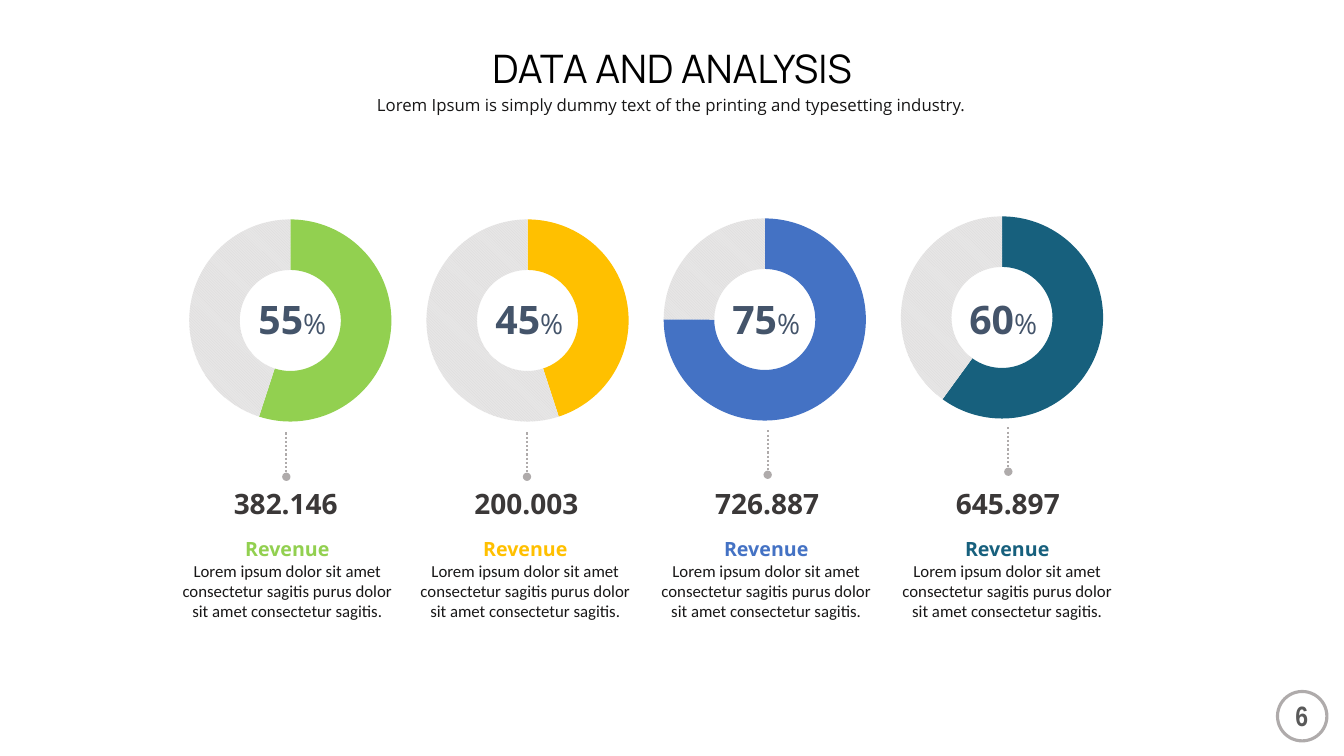
from dataclasses import dataclass

import lxml.etree
import pptx
import pptx.chart.data
import pptx.dml.color
import pptx.enum.chart
import pptx.enum.dml
import pptx.enum.shapes
import pptx.enum.text
import pptx.oxml
import pptx.oxml.ns
import pptx.util

Inches = pptx.util.Inches
Pt = pptx.util.Pt
MIDDLE = pptx.enum.text.MSO_ANCHOR.MIDDLE
TOP = pptx.enum.text.MSO_ANCHOR.TOP
CENTER = pptx.enum.text.PP_ALIGN.CENTER
GRAY = "AFABAB"
SLATE = "44546A"
BODY = "181717"
DESCRIPTION = "Lorem ipsum dolor sit amet consectetur sagitis purus dolor sit amet consectetur sagitis."


@dataclass
class Metric:
    percent: int
    amount: str
    color: str
    chart_top: float
    line_top: float
    detail_left: float


METRICS = [
    Metric(55, "382.146", "92D050", 2.0, 4.29, 1.66),
    Metric(45, "200.003", "FFC000", 2.0, 4.29, 4.02),
    Metric(75, "726.887", "4472C4", 1.99, 4.27, 6.41),
    Metric(60, "645.897", "17607D", 1.97, 4.24, 8.8),
]


@dataclass
class Style:
    size: float
    font: str
    color: str
    bold: bool = False


def rgb(color: str) -> pptx.dml.color.RGBColor:
    return pptx.dml.color.RGBColor.from_string(color)


def format_run(run, style: Style) -> None:
    run.font.size = Pt(style.size)
    run.font.name = style.font
    run.font.bold = style.bold
    run.font.color.rgb = rgb(style.color)


def place(shape, left: float, top: float, width: float, height: float) -> None:
    shape.left, shape.top = Inches(left), Inches(top)
    shape.width, shape.height = Inches(width), Inches(height)


def write(shape, text: str, styles: list[Style], anchor=TOP, align=CENTER) -> None:
    frame = shape.text_frame
    frame.word_wrap = True
    frame.auto_size = pptx.enum.text.MSO_AUTO_SIZE.NONE
    frame.vertical_anchor = anchor
    frame.text = text
    for paragraph, style in zip(frame.paragraphs, styles):
        paragraph.alignment = align
        paragraph.line_spacing = 1.0
        paragraph.space_before = Pt(0)
        for run in paragraph.runs:
            format_run(run, style)


def add_text(shapes, box: tuple, text: str, styles: list[Style], anchor=TOP, align=CENTER):
    shape = shapes.add_textbox(*map(Inches, box))
    write(shape, text, styles, anchor, align)
    return shape


def add_ring(shapes, metric: Metric, left: float) -> None:
    data = pptx.chart.data.CategoryChartData()
    data.categories = ["1", "2"]
    data.add_series("Series 1", [metric.percent, 100 - metric.percent])
    chart = shapes.add_chart(
        pptx.enum.chart.XL_CHART_TYPE.DOUGHNUT,
        Inches(left), Inches(metric.chart_top), Inches(2.28), Inches(2.36), data,
    ).chart
    chart.has_legend = False
    chart.has_title = False
    chart.font.size = Pt(18)
    chart.font.name = "Calibri"
    chart.font.color.rgb = rgb("000000")
    plot = chart.plots[0]
    plot.vary_by_categories = False
    points = plot.series[0].points
    for index in range(2):
        points[index].format.line.fill.background()
    share = points[0].format.fill
    share.solid()
    share.fore_color.rgb = rgb(metric.color)
    rest = points[1].format.fill
    rest.patterned()
    rest.pattern = pptx.enum.dml.MSO_PATTERN.DARK_DOWNWARD_DIAGONAL
    rest.fore_color.rgb = rgb("D9D9D9")
    rest.back_color.rgb = rgb("E7E6E6")

    qn = pptx.oxml.ns.qn
    chart_space = chart.element
    chart_space.find(".//" + qn("c:holeSize")).set("val", "82")
    plot_area = chart_space.find(".//" + qn("c:plotArea"))
    for layout in plot_area.findall(qn("c:layout")):
        plot_area.remove(layout)
    layout = lxml.etree.Element(qn("c:layout"))
    manual = lxml.etree.SubElement(layout, qn("c:manualLayout"))
    settings = {"layoutTarget": "inner", "xMode": "edge", "yMode": "edge",
                "x": "0.06", "y": "0.07", "w": "0.88", "h": "0.86"}
    for name, value in settings.items():
        lxml.etree.SubElement(manual, qn("c:" + name)).set("val", value)
    plot_area.insert(0, layout)


def add_pointer(shapes, left: float, top: float) -> None:
    connector = shapes.add_connector(
        pptx.enum.shapes.MSO_CONNECTOR.STRAIGHT,
        Inches(left), Inches(top), Inches(left), Inches(top + 0.44),
    )
    connector.line.color.rgb = rgb(GRAY)
    connector.line.width = Pt(1.5)
    connector.line.dash_style = pptx.enum.dml.MSO_LINE.ROUND_DOT
    qn = pptx.oxml.ns.qn
    properties = connector.element.spPr
    line = properties.find(qn("a:ln"))
    lxml.etree.SubElement(line, qn("a:tailEnd")).set("type", "oval")
    lxml.etree.SubElement(properties, qn("a:effectLst"))


def add_metric(shapes, metric: Metric, index: int) -> None:
    add_ring(shapes, metric, 1.74 + 2.353 * index)
    label = add_text(shapes, (2.36 + 2.35 * index, 3.01, 1.08, 0.45),
                     str(metric.percent), [Style(28, "Open Sans", SLATE, True)])
    paragraph = label.text_frame.paragraphs[0]
    paragraph.line_spacing = 0.7
    sign = paragraph.add_run()
    sign.text = "%"
    format_run(sign, Style(20, "Open Sans", SLATE))
    add_pointer(shapes, 2.84 + 2.387 * index, metric.line_top)
    add_text(shapes, (2.13 + 2.387 * index, 4.78, 1.41, 0.44),
             metric.amount, [Style(20, "Open Sans", "3B3838", True)])
    add_text(shapes, (metric.detail_left, 5.23, 2.38, 1.03), "Revenue\n" + DESCRIPTION,
             [Style(14, "Open Sans", metric.color, True), Style(12, "Calibri", BODY)], MIDDLE)


def add_page_number(shapes) -> None:
    group = shapes.add_group_shape()
    circle = group.shapes.add_shape(
        pptx.enum.shapes.MSO_SHAPE.OVAL, Inches(12.67), Inches(6.86), Inches(0.49), Inches(0.49))
    circle.shadow.inherit = False
    circle.fill.background()
    circle.line.color.rgb = rgb(GRAY)
    circle.line.width = Pt(2.25)
    number = add_text(group.shapes, (12.75, 6.88, 0.33, 0.44), "6",
                      [Style(20, "Arial Narrow", "595959", True)],
                      align=pptx.enum.text.PP_ALIGN.LEFT)
    number.text_frame.word_wrap = False


def main() -> None:
    presentation = pptx.Presentation()
    presentation.slide_width = Inches(13.33)
    presentation.slide_height = Inches(7.5)
    slide = presentation.slides.add_slide(presentation.slide_layouts[0])
    title, subtitle = slide.placeholders
    place(title, 2.71, 0.43, 7.91, 0.49)
    write(title, "DATA AND ANALYSIS", [Style(28, "Manrope", "000000")], MIDDLE)
    place(subtitle, 3.29, 0.89, 6.74, 0.3)
    write(subtitle, "Lorem Ipsum is simply dummy text of the printing and typesetting industry.",
          [Style(12, "Open Sans", BODY)])
    for index, metric in enumerate(METRICS):
        add_metric(slide.shapes, metric, index)
    add_page_number(slide.shapes)
    presentation.save("out.pptx")


if __name__ == "__main__":
    main()
